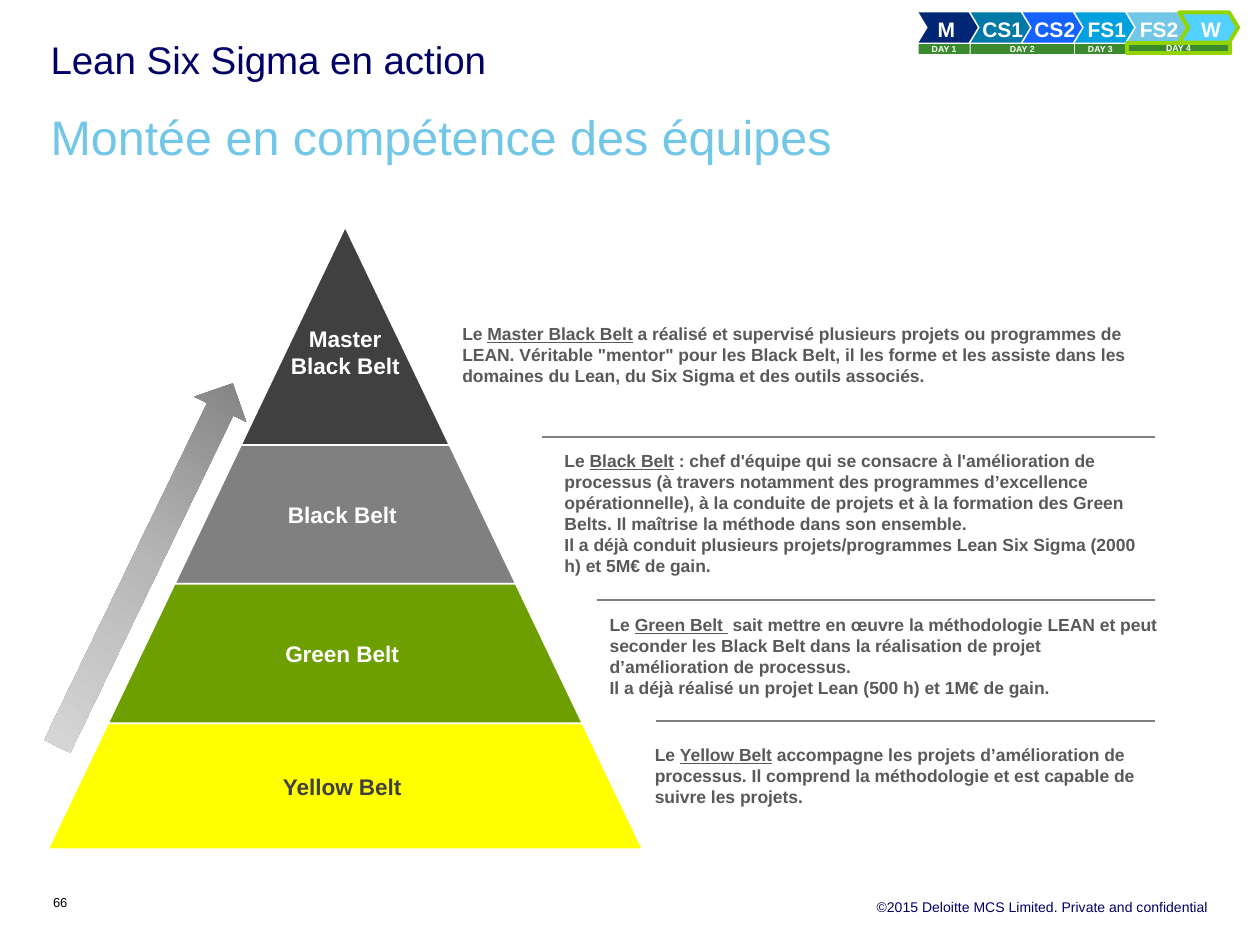
"""Build the Lean Six Sigma belt pyramid slide."""
from copy import deepcopy
from dataclasses import dataclass

from lxml import etree
from pptx import Presentation
from pptx import util as u
from pptx.dml.color import RGBColor
from pptx.enum import shapes, text
from pptx.oxml.ns import qn

WHITE = RGBColor(0xFF, 0xFF, 0xFF)
BLACK = RGBColor(0, 0, 0)
NAVY = RGBColor(0, 0, 0x66)
SKY = RGBColor(0x72, 0xC7, 0xE7)
LIME = RGBColor(0x92, 0xD4, 0)
DAY_GREEN = RGBColor(0x3C, 0x8A, 0x2E)
BELT_GREEN = RGBColor(0x6E, 0x9F, 0)
YELLOW = RGBColor(0xFF, 0xFF, 0)
DARK = RGBColor(0x40, 0x40, 0x40)
BODY = RGBColor(0x59, 0x59, 0x59)
GREY = RGBColor(0x80, 0x80, 0x80)
MID_GREY = RGBColor(0xB7, 0xB7, 0xB7)
LIGHT_GREY = RGBColor(0xD9, 0xD9, 0xD9)

LEFT, CENTER, RIGHT = text.PP_ALIGN.LEFT, text.PP_ALIGN.CENTER, text.PP_ALIGN.RIGHT
TOP, MIDDLE = text.MSO_ANCHOR.TOP, text.MSO_ANCHOR.MIDDLE
NAV_LEFT, NAV_STEP = 18.52, 1.05
APEX_X, APEX_Y, SLOPE = 6.96, 4.57, 0.4777
RULE_RIGHT = 23.29


@dataclass(frozen=True)
class Style:
    size: float
    color: RGBColor
    bold: bool = False
    align: text.PP_ALIGN = LEFT
    spacing: float | u.Length | None = None


@dataclass(frozen=True)
class Step:
    label: str
    fill: RGBColor
    current: bool = False


@dataclass(frozen=True)
class Day:
    label: str
    slot: int
    span: int
    current: bool = False


@dataclass(frozen=True)
class Belt:
    lines: tuple[str, ...]
    top: float
    bottom: float
    fill: RGBColor
    color: RGBColor = WHITE
    inset_top: float = 0.1


@dataclass(frozen=True)
class Note:
    box: tuple[float, float, float, float]
    belt: str
    rest: str
    more: str = ""


@dataclass(frozen=True)
class Rule:
    left: float
    y: float


STEPS = (
    Step("M", RGBColor(0, 0x27, 0x76)),
    Step("CS1", RGBColor(0, 0x79, 0xA6)),
    Step("CS2", RGBColor(0x14, 0x62, 0xFF)),
    Step("FS1", RGBColor(0, 0xA1, 0xDE)),
    Step("FS2", SKY),
    Step("W", RGBColor(0x52, 0xD0, 0xFF), True),
)
DAYS = (Day("DAY 1", 0, 1), Day("DAY 2", 1, 2), Day("DAY 3", 3, 1), Day("DAY 4", 4, 2, True))
BELTS = (
    Belt(("Yellow Belt ",), 14.58, 17.12, YELLOW, DARK),
    Belt(("Master", " Black Belt "), APEX_Y, 8.97, DARK, inset_top=0.74),
    Belt(("Black Belt ",), 8.97, 11.77, GREY),
    Belt(("Green Belt ",), 11.77, 14.58, BELT_GREEN),
)
NOTES = (
    Note((9.07, 6.38, 14.58, 1.55), "Master Black Belt",
         " a réalisé et supervisé plusieurs projets ou programmes de LEAN. Véritable \"mentor\" "
         "pour les Black Belt, il les forme et les assiste dans les domaines du Lean, "
         "du Six Sigma et des outils associés."),
    Note((11.13, 8.94, 12.17, 2.82), "Black Belt",
         " : chef d'équipe qui se consacre à l'amélioration de processus (à travers notamment "
         "des programmes d’excellence opérationnelle), à la conduite de projets et à la "
         "formation des Green Belts. Il maîtrise la méthode dans son ensemble.",
         "Il a déjà conduit plusieurs projets/programmes Lean Six Sigma (2000 h) et 5M€ de gain."),
    Note((12.04, 12.24, 11.63, 1.96), "Green Belt ",
         " sait mettre en œuvre la méthodologie LEAN et peut seconder les Black Belt dans la "
         "réalisation de projet d’amélioration de processus.",
         "Il a déjà réalisé un projet Lean (500 h) et 1M€ de gain."),
    Note((12.95, 14.86, 10.9, 1.55), "Yellow Belt",
         " accompagne les projets d’amélioration de processus. Il comprend la méthodologie "
         "et est capable de suivre les projets."),
)
RULES = (Rule(13.23, 14.53), Rule(12.04, 12.09), Rule(10.92, 8.81))


def write(sp, paragraphs, style: Style, insets=(0, 0, 0, 0), anchor=TOP, wrap=True) -> None:
    """Fill a shape with paragraphs made of (text, underlined) runs."""
    tf = sp.text_frame
    tf.word_wrap = wrap
    tf.vertical_anchor = anchor
    tf.margin_left, tf.margin_top, tf.margin_right, tf.margin_bottom = map(u.Cm, insets)
    for i, runs in enumerate(paragraphs):
        p = tf.add_paragraph() if i else tf.paragraphs[0]
        p.alignment = style.align
        p.line_spacing = style.spacing
        for content, underlined in runs:
            r = p.add_run()
            r.text = content
            r.font.name = "Arial"
            r.font.size = u.Pt(style.size)
            r.font.bold = style.bold
            r.font.underline = underlined
            r.font.color.rgb = style.color


def paint(sp, fill: RGBColor, line: RGBColor | None = None, width: float = 1) -> None:
    """Give a shape a flat fill and an optional outline."""
    sp.shadow.inherit = False
    sp.fill.solid()
    sp.fill.fore_color.rgb = fill
    if line is None:
        sp.line.fill.background()
    else:
        sp.line.color.rgb = line
        sp.line.width = u.Pt(width)


def add_text(s, box, paragraphs, style: Style, **options) -> None:
    """Add a text box."""
    write(s.shapes.add_textbox(*map(u.Cm, box)), paragraphs, style, **options)


def add_step(s, index: int, step: Step) -> None:
    """Add one chevron of the agenda strip."""
    box = (NAV_LEFT + index * NAV_STEP, 0.25, 1.19, 0.61)
    sp = s.shapes.add_shape(shapes.MSO_SHAPE.CHEVRON, *map(u.Cm, box))
    sp.adjustments[0] = 0.3
    paint(sp, step.fill, LIME if step.current else None, 2.25)
    style = Style(12, WHITE, True, CENTER if index else LEFT, 1.1)
    insets = (0.51, 0.15, 0.41, 0.15) if index else (0.2, 0.15, 0, 0.15)
    write(sp, [[(step.label, False)]], style, insets, MIDDLE, False)


def add_day(s, day: Day) -> None:
    """Add one day bar below the chevrons."""
    box = (NAV_LEFT + day.slot * NAV_STEP, 0.87 if day.current else 0.89,
           day.span * NAV_STEP - 0.02, 0.2)
    sp = s.shapes.add_shape(shapes.MSO_SHAPE.RECTANGLE, *map(u.Cm, box))
    paint(sp, DAY_GREEN, LIME if day.current else None, 2.25)
    write(sp, [[(day.label, False)]], Style(5, WHITE, True, CENTER), (0.1, 0, 0.1, 0))


def add_belt(s, belt: Belt) -> None:
    """Add one level of the pyramid."""
    top, bottom = ((y - APEX_Y) * SLOPE for y in (belt.top, belt.bottom))
    points = [(APEX_X - bottom, belt.bottom), (APEX_X + bottom, belt.bottom),
              (APEX_X + top, belt.top)]
    if top:
        points.append((APEX_X - top, belt.top))
    points = [(u.Cm(x), u.Cm(y)) for x, y in points]
    builder = s.shapes.build_freeform(*points[0])
    builder.add_line_segments(points[1:], close=True)
    sp = builder.convert_to_shape()
    paint(sp, belt.fill, WHITE)
    write(sp, [[(line, False)] for line in belt.lines],
          Style(12.9, belt.color, True, CENTER), (0.1, belt.inset_top, 0.1, 0.1), MIDDLE)


def add_note(s, note: Note) -> None:
    """Add the description of a belt."""
    paragraphs = [[("Le ", False), (note.belt, True), (note.rest, False)]]
    if note.more:
        paragraphs.append([(note.more, False)])
    add_text(s, note.box, paragraphs, Style(10, BODY, True), insets=(0.25, 0.13, 0.25, 0.13))


def add_rule(s, rule: Rule) -> None:
    """Add a separator between descriptions."""
    line = s.shapes.add_connector(shapes.MSO_CONNECTOR.STRAIGHT, u.Cm(rule.left), u.Cm(rule.y),
                                  u.Cm(RULE_RIGHT), u.Cm(rule.y))
    line.line.color.rgb = GREY
    line.line.width = u.Pt(1)
    etree.SubElement(line._element.spPr, qn("a:effectLst"))


def add_arrow(s) -> None:
    """Add the shaded arrow climbing the pyramid."""
    sp = s.shapes.add_shape(shapes.MSO_SHAPE.RIGHT_ARROW, *map(u.Cm, (-1.14, 10.8, 8.13, 1.17)))
    sp.rotation = 295.8
    sp.shadow.inherit = False
    sp.line.fill.background()
    sp.fill.gradient()
    sp.fill.gradient_angle = 170
    stops = sp._element.spPr.find(".//" + qn("a:gsLst"))
    stops.insert(1, deepcopy(stops[0]))
    for i, color in enumerate((GREY, MID_GREY, LIGHT_GREY)):
        stop = sp.fill.gradient_stops[i]
        stop.position = i / 2
        stop.color.rgb = color


def main() -> None:
    """Assemble and save the slide."""
    prs = Presentation()
    prs.slide_width, prs.slide_height = u.Cm(25.4), u.Cm(19.05)
    s = prs.slides.add_slide(prs.slide_layouts[6])
    add_text(s, (8.64, 18.11, 15.72, 0.33),
             [[("©2015 Deloitte MCS Limited. Private and confidential", False)]],
             Style(8, NAVY, align=RIGHT))
    for i, step in enumerate(STEPS):
        add_step(s, i, step)
    for day in DAYS:
        add_day(s, day)
    add_text(s, (1.02, 2.13, 23.29, 2.69), [[("Montée en compétence des équipes", False)]],
             Style(27.7, SKY, spacing=1.02))
    add_text(s, (1.02, 0.81, 23.29, 1.3), [[("Lean Six Sigma en action", False)]],
             Style(22, NAVY, spacing=u.Pt(24)))
    add_text(s, (1.07, 18.03, 2.21, 0.3), [[("66", False)]], Style(7.4, BLACK), anchor=MIDDLE)
    for belt in BELTS:
        add_belt(s, belt)
    for rule in RULES:
        add_rule(s, rule)
    for note in NOTES:
        add_note(s, note)
    add_arrow(s)
    prs.save("out.pptx")


if __name__ == "__main__":
    main()
